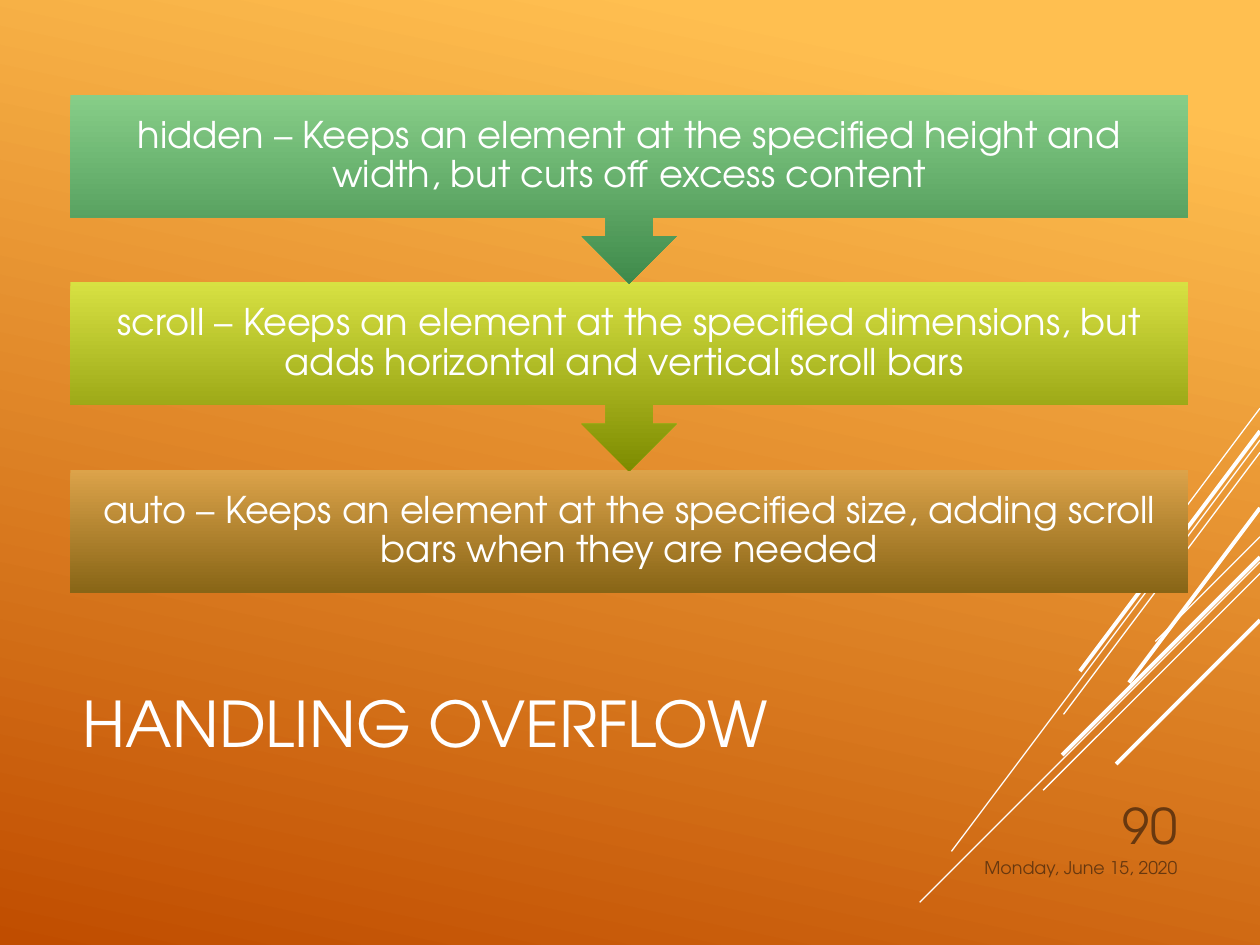
from pptx import Presentation
from pptx.dml.color import RGBColor
from pptx.enum.shapes import MSO_CONNECTOR as Connector, MSO_SHAPE as Shape
from pptx.enum.text import MSO_ANCHOR as Anchor, PP_ALIGN as Align
from pptx.oxml.ns import qn
from pptx.util import Cm, Pt
from lxml.etree import SubElement

FONT = "TeX Gyre Adventor"
WHITE = RGBColor(0xFF, 0xFF, 0xFF)
BROWN = RGBColor(0x68, 0x38, 0x0F)
AMBER = RGBColor(0xFF, 0xBF, 0x50)
RUST = RGBColor(0xC0, 0x4D, 0x00)
GREEN = RGBColor(0x87, 0xCE, 0x88), RGBColor(0x3F, 0x8A, 0x4B)
LIME = RGBColor(0xD7, 0xE1, 0x42), RGBColor(0x7D, 0x8B, 0x00)
OCHRE = RGBColor(0xDC, 0xA3, 0x4A), RGBColor(0x88, 0x65, 0x16)

THIN, THICK = 0.75, 2.25
DIAGONAL_RAYS = [(2.59, 2.11, THIN), (3.1, 6.86, THIN), (3.33, 4.37, THIN),
                 (3.0, 3.99, THICK), (4.27, 2.9, THICK)]
STEEP_RAYS = [(0, 1.9, THIN), (0.64, 6.22, THIN), (0.89, 3.96, THIN),
              (0.46, 3.63, THICK), (2.01, 2.64, THICK)]
STEPS = [
    ("hidden – Keeps an element at the specified height and width, "
     "but cuts off excess content", GREEN),
    ("scroll – Keeps an element at the specified dimensions, "
     "but adds horizontal and vertical scroll bars ", LIME),
    ("auto – Keeps an element at the specified size, "
     "adding scroll bars when they are needed", OCHRE),
]


def fill_gradient(fill, colors, clockwise, start=0):
    fill.gradient()
    fill.gradient_angle = 360 - clockwise
    for stop, color, position in zip(fill.gradient_stops, colors, (start, 1)):
        stop.color.rgb = color
        stop.position = position


def write(frame, text, size, color, align, anchor):
    frame.word_wrap = True
    frame.vertical_anchor = anchor
    frame.text = text
    para = frame.paragraphs[0]
    para.alignment = align
    font = para.runs[0].font
    font.name, font.size, font.color.rgb = FONT, Pt(size), color
    return para


def add_text(page, left, top, width, height, *style):
    box = page.shapes.add_textbox(Cm(left), Cm(top), Cm(width), Cm(height))
    write(box.text_frame, *style)


def add_rays(page, right, top, rays, slope):
    for offset, run, weight in rays:
        start = top + offset
        ray = page.shapes.add_connector(
            Connector.STRAIGHT, Cm(right), Cm(start),
            Cm(right - run), Cm(start + run * slope))
        ray.line.color.rgb = WHITE
        ray.line.width = Pt(weight)
        SubElement(ray._element.spPr, qn("a:effectLst"))


def add_flow(page, left, top, width, box_height, callout_height, pitch):
    for index, (text, colors) in reversed(list(enumerate(STEPS))):
        last = index == len(STEPS) - 1
        step = page.shapes.add_shape(
            Shape.RECTANGLE if last else Shape.DOWN_ARROW_CALLOUT,
            Cm(left), Cm(top + index * pitch), Cm(width),
            Cm(box_height if last else callout_height))
        step.shadow.inherit = False
        step.line.fill.background()
        fill_gradient(step.fill, colors, 90)
        frame = step.text_frame
        frame.margin_left = frame.margin_right = Cm(0.41)
        frame.margin_top = frame.margin_bottom = Cm(0.41)
        para = write(frame, text, 21, WHITE, Align.CENTER, Anchor.MIDDLE)
        para.line_spacing = 0.9


def add_footer(page, right, top):
    add_text(page, right - 4.98, top + 1.66, 4.98, 1.02,
             "Monday, June 15, 2020", 10, BROWN, Align.RIGHT, Anchor.TOP)
    add_text(page, right - 2.39, top, 2.39, 1.85,
             "90", 28, BROWN, Align.RIGHT, Anchor.BOTTOM)


def main():
    deck = Presentation()
    deck.slide_width, deck.slide_height = Cm(25.4), Cm(19.05)
    page = deck.slides.add_slide(deck.slide_layouts[6])
    fill_gradient(page.background.fill, (AMBER, RUST), 102, 0.1)
    add_rays(page, 25.4, 8.23, DIAGONAL_RAYS, 1)
    add_rays(page, 25.4, 8.23, STEEP_RAYS, 4 / 3)
    add_text(page, 1.42, 12.47, 17.78, 4.19,
             "HANDLING OVERFLOW", 36, WHITE, Align.LEFT, Anchor.MIDDLE)
    add_flow(page, 1.42, 1.91, 22.53, 2.48, 3.81, 3.78)
    add_footer(page, 23.98, 15.49)
    deck.save("out.pptx")


if __name__ == "__main__":
    main()
